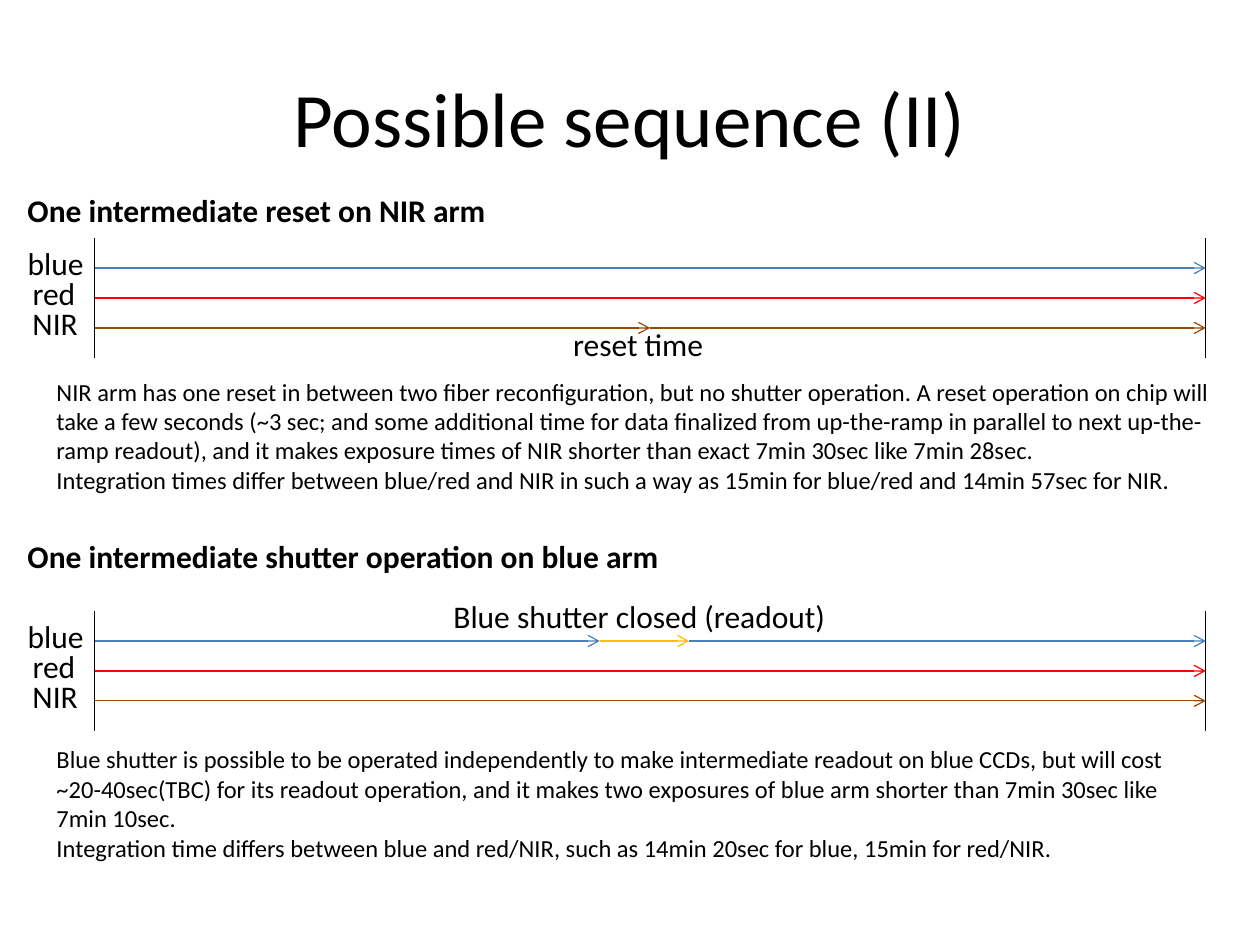
from pptx import Presentation
from pptx.dml.color import RGBColor
from pptx.enum import shapes, text
from pptx.oxml.ns import qn
from pptx.util import Inches, Pt
from lxml import etree

BLACK = RGBColor(0, 0, 0)
BLUE = RGBColor(0x4B, 0x7E, 0xBC)
RED = RGBColor(0xFF, 0, 0)
BROWN = RGBColor(0x98, 0x48, 0x07)
GOLD = RGBColor(0xFF, 0xC0, 0)

# Time axis and row grid, in inches
START, END = 0.75, 9.57
MID = (START + END) / 2
ROW = 0.95 / 4
ARMS = (("blue", 0.12, 0.65), ("red", 0.16, 0.55), ("NIR", 0.16, 0.56))


def label(slide, box, lines, size=18, bold=False, wrap=False, center=False):
    frame = slide.shapes.add_textbox(*map(Inches, box)).text_frame
    frame.word_wrap = wrap
    if center:
        frame.vertical_anchor = text.MSO_ANCHOR.MIDDLE
    for i, line in enumerate(lines):
        para = frame.paragraphs[0] if i == 0 else frame.add_paragraph()
        para.alignment = text.PP_ALIGN.CENTER if center else text.PP_ALIGN.LEFT
        run = para.add_run()
        run.text = line
        form = {"name": "Calibri", "size": Pt(size), "bold": bold}
        for key, val in form.items():
            setattr(run.font, key, val)
        run.font.color.rgb = BLACK


def rule(slide, x1, y1, x2, y2, color, arrow=False):
    line = slide.shapes.add_connector(
        shapes.MSO_CONNECTOR.STRAIGHT, *map(Inches, (x1, y1, x2, y2)))
    line.line.color.rgb = color
    line.line.width = Pt(0.75)
    if arrow:
        etree.SubElement(line.line._get_or_add_ln(), qn("a:tailEnd"), type="arrow")
    etree.SubElement(line._element.spPr, qn("a:effectLst"))


def chart(slide, top, rows):
    """Draw one timeline; each row lists (end, color) spans."""
    for x in (START, END):
        rule(slide, x, top, x, top + 4 * ROW, BLACK)
    for i, ((name, left, width), spans) in enumerate(zip(ARMS, rows)):
        y = top + (i + 1) * ROW
        x = START
        for end, color in spans:
            rule(slide, x, y, end, y, color, arrow=True)
            x = end
        label(slide, (left, y - ROW, width, 0.4), [name])


def main():
    deck = Presentation()
    deck.slide_width, deck.slide_height = Inches(10), Inches(7.5)
    slide = deck.slides.add_slide(deck.slide_layouts[6])

    label(slide, (0.5, 0.3, 9, 1.25), ["Possible sequence (II)"], 44,
          wrap=True, center=True)

    # Reset on the NIR arm
    label(slide, (0.12, 1.47, 3.87, 0.4),
          ["One intermediate reset on NIR arm"], bold=True)
    chart(slide, 1.89, [[(END, BLUE)], [(END, RED)],
                        [(MID, BROWN), (END, BROWN)]])
    label(slide, (4.45, 2.53, 1.25, 0.4), ["reset time"])
    label(slide, (0.35, 2.94, 9.37, 1.04), [
        "NIR arm has one reset in between two fiber reconfiguration, but no "
        "shutter operation. A reset operation on chip will take a few seconds "
        "(~3 sec; and some additional time for data finalized from up-the-ramp "
        "in parallel to next up-the-ramp readout), and it makes exposure times "
        "of NIR shorter than exact 7min 30sec like 7min 28sec.",
        "Integration times differ between blue/red and NIR in such a way as "
        "15min for blue/red and 14min 57sec for NIR."], 14, wrap=True)

    # Shutter on the blue arm
    label(slide, (0.12, 4.21, 5.26, 0.4),
          ["One intermediate shutter operation on blue arm"], bold=True)
    chart(slide, 4.85, [[(4.76, BLUE), (5.47, GOLD), (END, BLUE)],
                        [(END, RED)], [(END, BROWN)]])
    label(slide, (3.5, 4.69, 3.19, 0.4), ["Blue shutter closed (readout)"])
    label(slide, (0.35, 5.86, 9.37, 1.04), [
        "Blue shutter is possible to be operated independently to make "
        "intermediate readout on blue CCDs, but will cost ~20-40sec(TBC) for "
        "its readout operation, and it makes two exposures of blue arm shorter "
        "than 7min 30sec like 7min 10sec.",
        "Integration time differs between blue and red/NIR, such as 14min "
        "20sec for blue, 15min for red/NIR."], 14, wrap=True)

    deck.save("out.pptx")


main()
